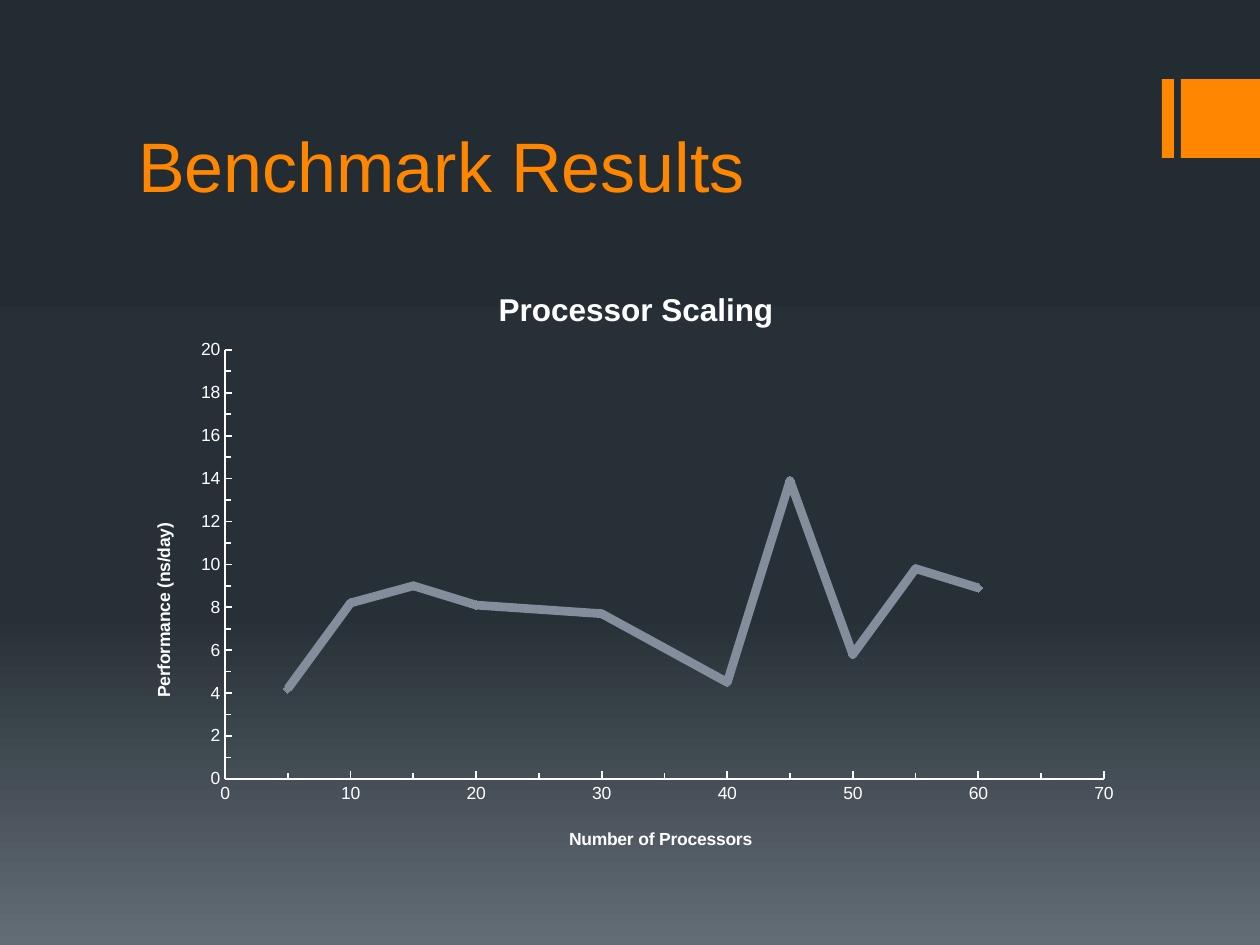
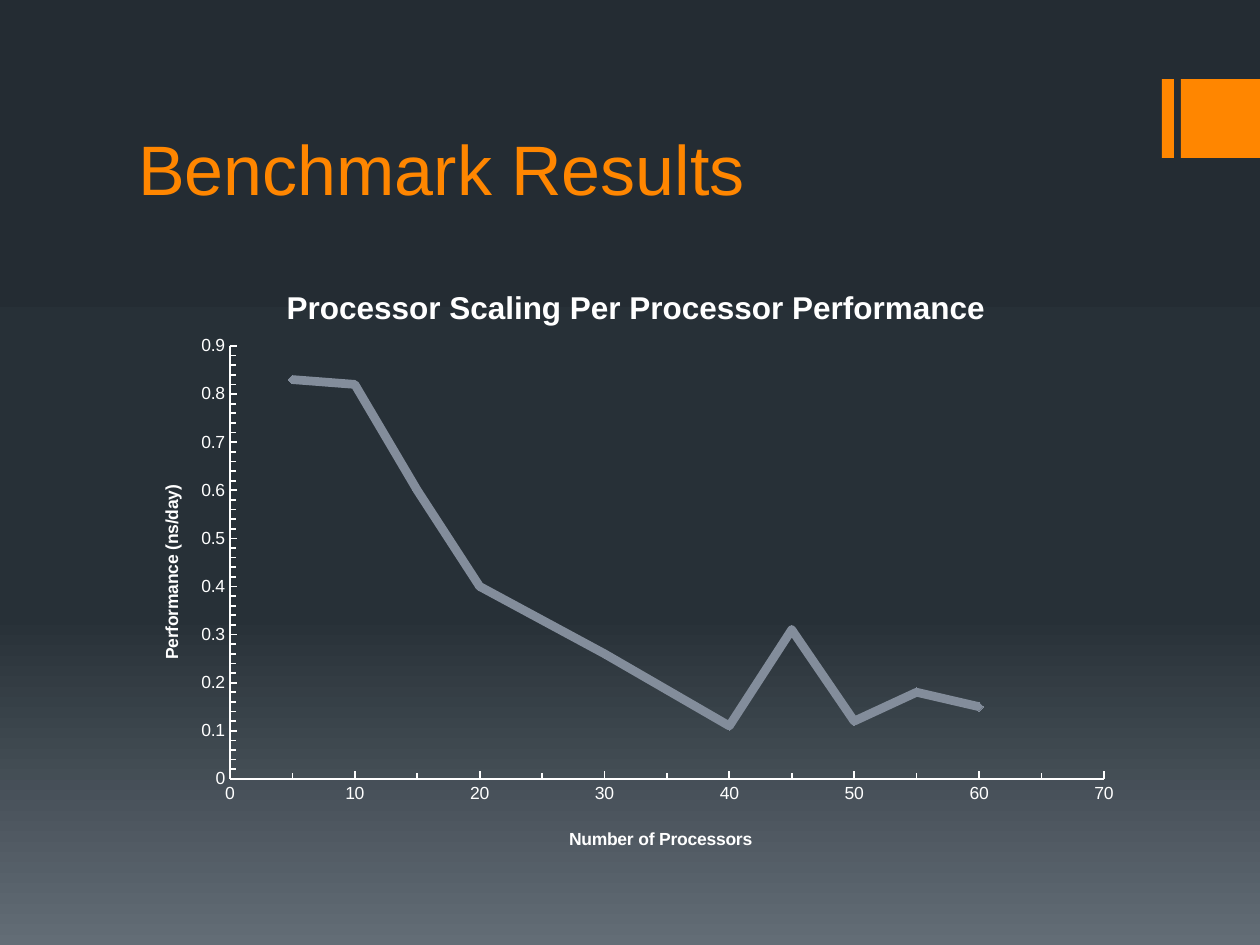
from lxml import etree
from pptx import Presentation, util as u
from pptx.chart.data import XyChartData
from pptx.dml.color import RGBColor
from pptx.enum import chart as ch, shapes, text
from pptx.oxml import ns

SCALE = 914400 / 126
FONT = "Arial"
HUES = {"top": "242C33", "mid": "273037", "low": "636D76",
        "accent": "FF8600", "line": "838D9B", "text": "FFFFFF"}
CORES = [5, 10, 15, 20, 30, 40, 45, 50, 55, 60]
PAGES = [
    {"head": (126, 54, 1008, 159), "box": (126, 254, 1008, 615),
     "name": "Processor Scaling", "spot": (367, 29), "side": (23, 266),
     "plot": (99, 96), "top": 20, "step": 2, "minor": 1,
     "vals": [4.2, 8.2, 9, 8.1, 7.7, 4.5, 13.9, 5.8, 9.8, 8.9]},
    {"head": (126, 57, 1008, 159), "box": (126, 257, 1008, 612),
     "name": "Processor Scaling Per Processor Performance",
     "spot": (155, 24), "side": (31, 225),
     "plot": (104, 89), "top": 0.9, "step": 0.1, "minor": 0.02,
     "vals": [0.83, 0.82, 0.6, 0.4, 0.26, 0.11, 0.31, 0.12, 0.18, 0.15]},
]


def px(*nums):
    """Turn pixel lengths into EMU."""
    return [u.Emu(round(n * SCALE)) for n in nums]


def hue(key):
    """Return a named colour."""
    return RGBColor.from_string(HUES[key])


def style(font, size, key, bold=False):
    """Set the face, size, weight and colour of a font."""
    font.name, font.size, font.bold = FONT, u.Pt(size), bold
    font.color.rgb = hue(key)


def paint(slide):
    """Fill the background with the three-stop vertical fade."""
    fill = slide.background.fill
    fill.gradient()
    grad = slide.element.find(".//" + ns.qn("a:gradFill"))
    stops = grad.find(ns.qn("a:gsLst"))
    for old in list(stops):
        stops.remove(old)
    for pos, key in ((0, "top"), (65, "mid"), (100, "low")):
        stop = etree.SubElement(stops, ns.qn("a:gs"), pos=str(pos * 1000))
        etree.SubElement(stop, ns.qn("a:srgbClr"), val=HUES[key])
    lin = grad.find(ns.qn("a:lin"))
    lin.set("ang", "5400000")
    lin.set("scaled", "0")


def badge(slide, box):
    """Draw the thin bar and the square at the right edge."""
    left, top, wide, high = box
    for x, w in ((0, 12), (wide - high, high)):
        bar = slide.shapes.add_shape(
            shapes.MSO_SHAPE.RECTANGLE, *px(left + x, top, w, high))
        bar.shadow.inherit = False
        bar.fill.solid()
        bar.fill.fore_color.rgb = hue("accent")
        bar.line.fill.background()


def header(slide, box, words):
    """Write the slide title at the foot of its box."""
    frame = slide.shapes.add_textbox(*px(*box)).text_frame
    frame.word_wrap = True
    frame.vertical_anchor = text.MSO_ANCHOR.BOTTOM
    run = frame.paragraphs[0].add_run()
    run.text = words
    style(run.font, 40, "accent")


def pin(node, box, x, y, size=None):
    """Fix a chart part at a pixel offset within the chart box."""
    lay = node.find(ns.qn("c:layout"))
    if lay is None:
        lay = etree.Element(ns.qn("c:layout"))
        tx = node.find(ns.qn("c:tx"))
        node.insert(0 if tx is None else 1, lay)
    man = etree.SubElement(lay, ns.qn("c:manualLayout"))
    wide, high = box[2:]
    items = [("xMode", "edge"), ("yMode", "edge"),
             ("x", x / wide), ("y", y / high)]
    if size:
        items.insert(0, ("layoutTarget", "inner"))
        items += [("w", size[0] / wide), ("h", size[1] / high)]
    for tag, val in items:
        etree.SubElement(man, ns.qn("c:" + tag), val=str(val))


def label(title, words, size, box, spot):
    """Write a bold chart or axis title and pin it."""
    run = title.text_frame.paragraphs[0].add_run()
    run.text = words
    style(run.font, size, "text", True)
    pin(title.element, box, *spot)


def scale(axis, top, step, minor):
    """Set the range, ticks and line of an axis."""
    axis.minimum_scale, axis.maximum_scale = 0, top
    axis.major_unit, axis.minor_unit = step, minor
    axis.has_major_gridlines = axis.has_minor_gridlines = False
    axis.major_tick_mark = axis.minor_tick_mark = ch.XL_TICK_MARK.INSIDE
    axis.format.line.color.rgb = hue("text")
    axis.format.line.width = u.Pt(1)
    style(axis.tick_labels.font, 10, "text")
    axis.tick_labels.number_format = "General"
    axis.tick_labels.number_format_is_linked = False


def graph(slide, page):
    """Build the scatter chart of performance by processor count."""
    box = page["box"]
    data = XyChartData()
    row = data.add_series("Series 1")
    for x, y in zip(CORES, page["vals"]):
        row.add_data_point(x, y)
    chart = slide.shapes.add_chart(
        ch.XL_CHART_TYPE.XY_SCATTER_LINES, *px(*box), data).chart
    style(chart.font, 10, "text")
    chart.has_legend = False
    chart.has_title = True
    label(chart.chart_title, page["name"], 18, box, page["spot"])

    across, up = chart.category_axis, chart.value_axis
    scale(across, 70, 10, 5)
    scale(up, page["top"], page["step"], page["minor"])
    label(across.axis_title, "Number of Processors", 10, box,
          (440, box[3] - 45))
    label(up.axis_title, "Performance (ns/day)", 10, box, page["side"])
    body = up.axis_title.element.find(".//" + ns.qn("a:bodyPr"))
    body.set("rot", "-5400000")
    body.set("vert", "horz")

    left, top = page["plot"]
    area = chart.element.find(".//" + ns.qn("c:plotArea"))
    pin(area, box, left, top, (978 - left, box[3] - 90 - top))

    plot = chart.plots[0]
    plot.vary_by_categories = False
    line = plot.series[0]
    line.smooth = False
    line.format.line.color.rgb = hue("line")
    line.format.line.width = u.Pt(5)
    mark = line.marker
    mark.style, mark.size = ch.XL_MARKER_STYLE.DIAMOND, 5
    mark.format.fill.solid()
    mark.format.fill.fore_color.rgb = hue("line")
    mark.format.line.color.rgb = hue("line")


def main():
    """Build and save both result slides."""
    deck = Presentation()
    deck.slide_width, deck.slide_height = px(1260, 945)
    for page in PAGES:
        slide = deck.slides.add_slide(deck.slide_layouts[6])
        paint(slide)
        badge(slide, (1162, 79, 98, 79))
        header(slide, page["head"], "Benchmark Results")
        graph(slide, page)
    deck.save("out.pptx")


if __name__ == "__main__":
    main()
